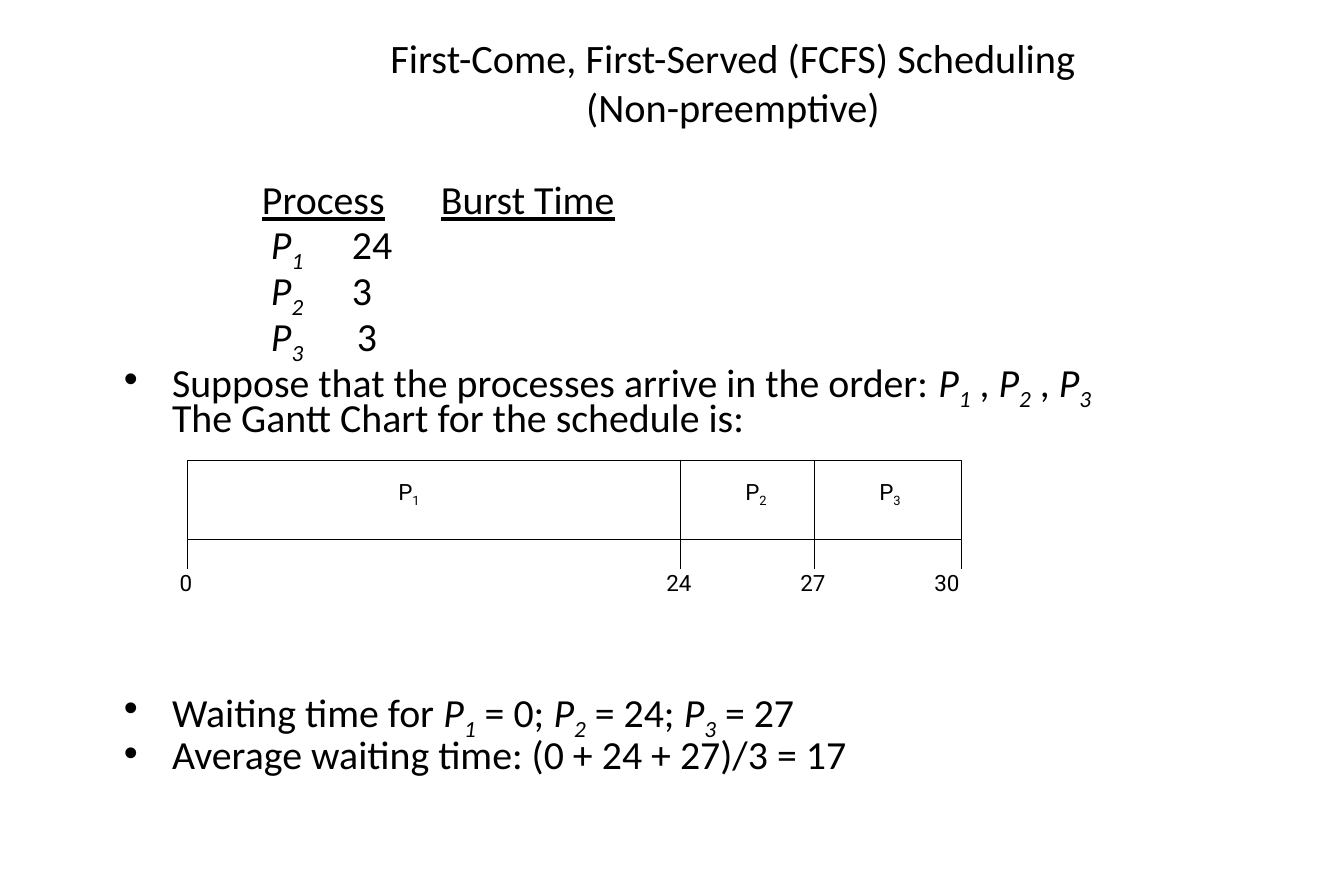
from lxml import etree
from pptx import Presentation
from pptx.dml.color import RGBColor
from pptx.enum.shapes import MSO_CONNECTOR, MSO_SHAPE
from pptx.enum.text import MSO_ANCHOR, PP_ALIGN
from pptx.oxml.ns import qn
from pptx.util import Pt

PX = 10205
BLACK = RGBColor.from_string("000000")
WHITE = RGBColor.from_string("FFFFFF")
CENTER = PP_ALIGN.CENTER
MIDDLE = MSO_ANCHOR.MIDDLE
TOP = MSO_ANCHOR.TOP
STRAIGHT = MSO_CONNECTOR.STRAIGHT
RECTANGLE = MSO_SHAPE.RECTANGLE

presentation = Presentation()
presentation.slide_width = 1344 * PX
presentation.slide_height = 896 * PX
slide = presentation.slides.add_slide(presentation.slide_layouts[6])
shapes = slide.shapes


def add_frame(left, top, width, height, anchor=MIDDLE, margins=(13, 6), wrap=True):
    frame = shapes.add_textbox(left * PX, top * PX, width * PX, height * PX).text_frame
    frame.word_wrap = wrap
    frame.vertical_anchor = anchor
    frame.margin_left = frame.margin_right = margins[0] * PX
    frame.margin_top = frame.margin_bottom = margins[1] * PX
    return frame


def write_text(paragraph, text, font="Calibri", size=32, italic=True, underline=False):
    plain, *processes = text.split("P_")
    pieces = [(plain, False, False)]
    for process in processes:
        pieces += [("P", italic, False), (process[0], italic, True), (process[1:], False, False)]
    for content, slanted, subscript in pieces:
        if not content:
            continue
        run = paragraph.add_run()
        run.text = content
        run.font.name = font
        run.font.size = Pt(size)
        run.font.italic = slanted
        run.font.underline = underline
        run.font.color.rgb = BLACK
        if subscript:
            run.font._element.set("baseline", "-25000")


title = add_frame(145, 52, 1176, 60)
title_lines = ["First-Come, First-Served (FCFS) Scheduling", "(Non-preemptive)"]
for index, line in enumerate(title_lines):
    paragraph = title.add_paragraph() if index else title.paragraphs[0]
    paragraph.alignment = CENTER
    write_text(paragraph, line, size=32.4)

body = add_frame(111, 182, 1112, 538, anchor=TOP)
table_rows = [
    (["Process", "Burst Time"], [138, 317], True),
    (["P_1", "24"], [147, 228], False),
    (["P_2", "3"], [147, 228], False),
    (["P_3", "3"], [147, 233], False),
]
for index, (cells, stops, underline) in enumerate(table_rows):
    paragraph = body.add_paragraph() if index else body.paragraphs[0]
    paragraph.line_spacing = 0.7
    paragraph.space_before = Pt(6.4 if index else 0)
    tabs = etree.SubElement(paragraph._p.get_or_add_pPr(), qn("a:tabLst"))
    for stop in stops:
        etree.SubElement(tabs, qn("a:tab"), pos=str(stop * PX), algn="l")
    for cell in cells:
        write_text(paragraph, "\t")
        write_text(paragraph, cell, underline=underline)

bullets = [
    (["Suppose that the processes arrive in the order: P_1 , P_2 , P_3",
      "The Gantt Chart for the schedule is:"], 6.4),
    (["Waiting time for P_1 = 0; P_2 = 24; P_3 = 27"], 207),
    (["Average waiting time: (0 + 24 + 27)/3 = 17"], 6.4),
]
for lines, space_before in bullets:
    paragraph = body.add_paragraph()
    paragraph.line_spacing = 0.7
    paragraph.space_before = Pt(space_before)
    properties = paragraph._p.get_or_add_pPr()
    properties.set("marL", str(48 * PX))
    properties.set("indent", str(-48 * PX))
    etree.SubElement(properties, qn("a:buFont"), typeface="Arial")
    etree.SubElement(properties, qn("a:buChar"), char="•")
    for index, line in enumerate(lines):
        if index:
            paragraph.add_line_break()
        write_text(paragraph, line)

chart_top, chart_bottom, tick_bottom = 460, 540, 569
tick_positions = [187, 680, 814, 961]
chart_left, *dividers, chart_right = tick_positions
gantt_bar = shapes.add_shape(RECTANGLE, chart_left * PX, chart_top * PX,
                             (chart_right - chart_left) * PX, (chart_bottom - chart_top) * PX)
gantt_bar.shadow.inherit = False
gantt_bar.fill.solid()
gantt_bar.fill.fore_color.rgb = WHITE
gantt_bar.line.color.rgb = BLACK
gantt_bar.line.width = Pt(0.75)

chart_lines = [(x, chart_bottom, tick_bottom) for x in tick_positions]
chart_lines += [(x, chart_top, chart_bottom) for x in dividers]
for x, start, end in chart_lines:
    connector = shapes.add_connector(STRAIGHT, x * PX, start * PX, x * PX, end * PX)
    connector.line.color.rgb = BLACK
    connector.line.width = Pt(0.75)
    etree.SubElement(connector._element.spPr, qn("a:effectLst"))

label_width = 44
chart_labels = [
    ("P_1", 409, 475), ("P_2", 756, 475), ("P_3", 890, 475),
    ("0", 186, 565), ("24", 679, 565), ("27", 813, 565), ("30", 947, 565),
]
for label, middle, top in chart_labels:
    frame = add_frame(middle - label_width // 2, top, label_width, 36, margins=(2, 4), wrap=False)
    paragraph = frame.paragraphs[0]
    paragraph.alignment = CENTER
    write_text(paragraph, label, font="Roboto", size=18, italic=False)

presentation.save("out.pptx")
